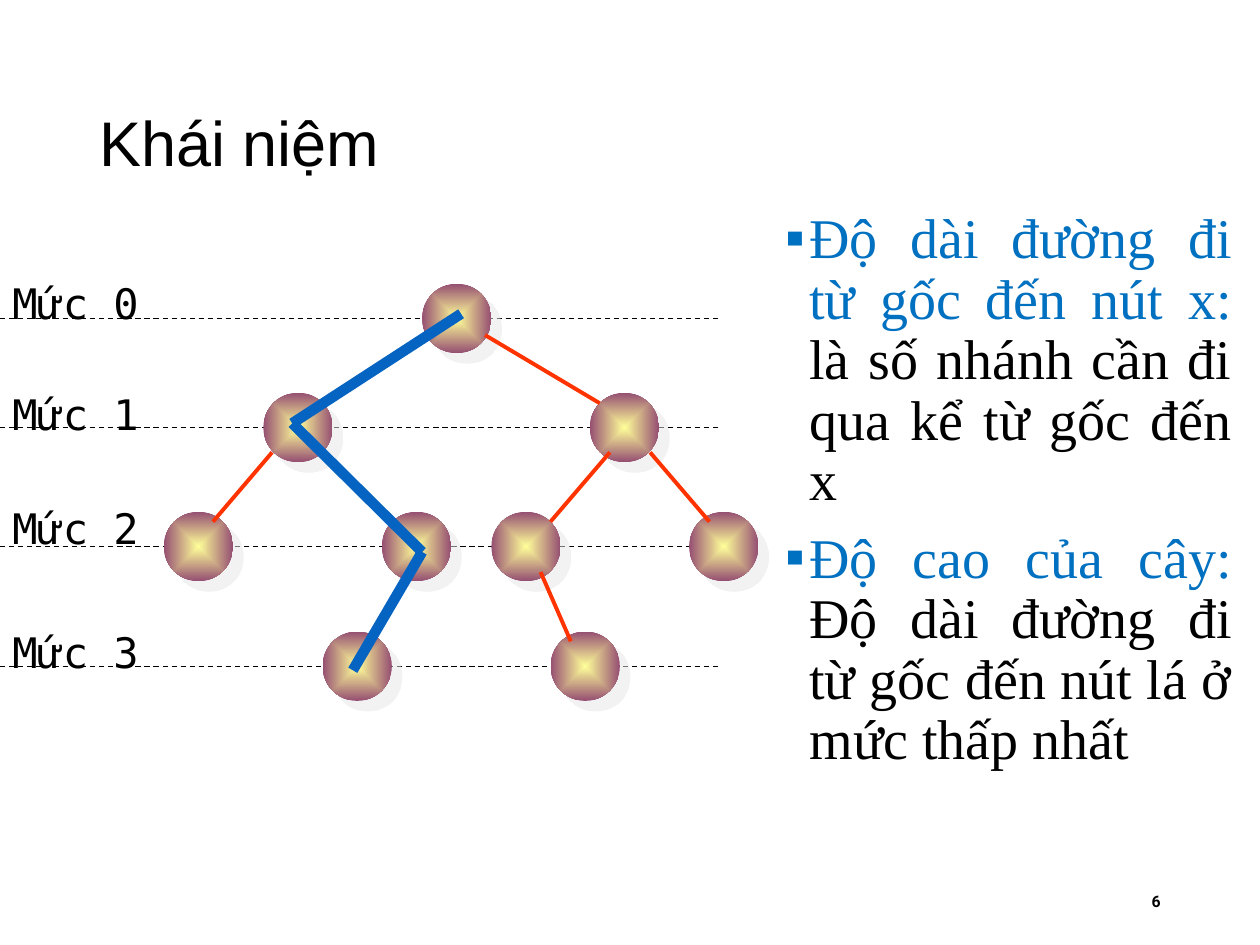
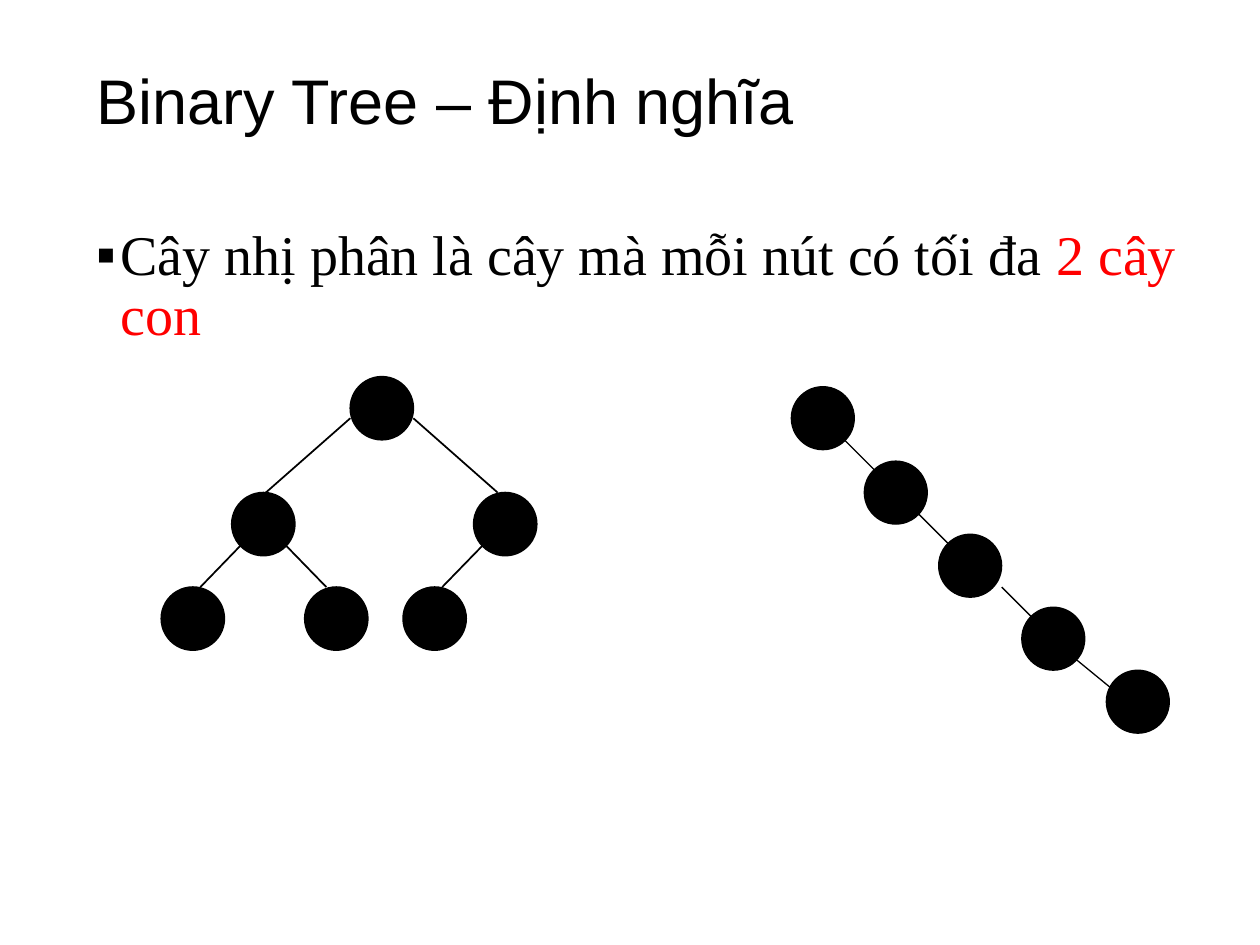
from dataclasses import dataclass
from itertools import pairwise
from typing import NamedTuple

from lxml import etree
from pptx import Presentation
from pptx.dml.color import RGBColor
from pptx.enum.dml import MSO_LINE
from pptx.enum.shapes import MSO_CONNECTOR, MSO_SHAPE
from pptx.enum.text import MSO_ANCHOR, PP_ALIGN
from pptx.oxml.ns import qn
from pptx.util import Pt

STRAIGHT = MSO_CONNECTOR.STRAIGHT
OVAL = MSO_SHAPE.OVAL
DASH = MSO_LINE.DASH
TOP, MIDDLE = MSO_ANCHOR.TOP, MSO_ANCHOR.MIDDLE
LEFT, RIGHT, JUSTIFY = PP_ALIGN.LEFT, PP_ALIGN.RIGHT, PP_ALIGN.JUSTIFY


@dataclass(frozen=True)
class Theme:
    black: str = "000000"
    accent: str = "0070C0"
    red: str = "FF0000"
    edge: str = "FF3300"
    route: str = "0563C1"
    node_core: str = "FFFF99"
    node_rim: str = "954F72"
    shadow: str = "E7E6E6"
    title_font: str = "Arial"
    body_font: str = "Times New Roman"
    label_font: str = "DejaVu Sans Mono"
    number_font: str = "Roboto"
    title_size: float = 36
    body_size: float = 32
    label_size: float = 24
    number_size: float = 9
    bullet_indent: float = 13.5
    bullet_gap: float = 9.6


class Box(NamedTuple):
    x: float
    y: float
    w: float
    h: float


class Point(NamedTuple):
    x: float
    y: float


class Run(NamedTuple):
    text: str
    color: str


class Edge(NamedTuple):
    x1: float
    y1: float
    x2: float
    y2: float


class Level(NamedTuple):
    y: float
    label_top: float
    nodes: tuple[float, ...]


@dataclass(frozen=True)
class Tree:
    nodes: list[Point]
    edges: list[Edge]
    line_width: float


T = Theme()
NODE_SIZE = 39.6
DOT_SIZE = 36

LEVELS = [
    Level(182, 154.8, (261,)),
    Level(244.3, 218.2, (170.3, 356.8)),
    Level(312.3, 283.7, (113.4, 238, 300.6, 413.6)),
    Level(380.7, 354.2, (334.4, 204.1)),
]
LEVEL_EDGES = [
    Edge(246.2, 190.8, 184.3, 230.4),
    Edge(277.2, 191.5, 342.7, 230.4),
    Edge(155.5, 258.5, 121.7, 298.1),
    Edge(184.3, 258.5, 223.9, 298.1),
    Edge(229.7, 332.6, 212.4, 366.5),
    Edge(348.5, 258.5, 314.6, 298.1),
    Edge(371.5, 258.5, 405.4, 298.1),
    Edge(308.9, 326.9, 326.2, 366.5),
]
ROUTE = [Point(263.5, 179.3), Point(167, 241.9), Point(241.2, 315.4), Point(201.6, 383)]

BALANCED = Tree(
    [Point(218.2, 233.3), Point(150.5, 299.5), Point(288.7, 299.5),
     Point(110.2, 353.5), Point(192.2, 353.5), Point(248.4, 353.5)],
    [Edge(151.9, 281.5, 200.2, 239), Edge(284.4, 281.5, 236.2, 239),
     Edge(114.5, 335.5, 138.2, 311), Edge(186.5, 335.5, 162.7, 311),
     Edge(252.7, 335.5, 276.5, 311)],
    1,
)
CHAIN = Tree(
    [Point(470.2, 239), Point(511.9, 281.5), Point(554.4, 323.3),
     Point(601.9, 365), Point(650.2, 401)],
    [Edge(482.4, 251.3, 500.4, 269.3), Edge(524.2, 293, 542.2, 311),
     Edge(572.4, 335.5, 590.4, 353.5), Edge(644.4, 401, 608.4, 371.5)],
    0.75,
)


def rgb(color: str) -> RGBColor:
    return RGBColor.from_string(color)


def sub(parent, tag: str, **attrs: str):
    return etree.SubElement(parent, qn(tag), attrs)


def add_bullet(p) -> None:
    p.line_spacing = 0.9
    p.space_before = Pt(T.bullet_gap)
    ppr = p._p.get_or_add_pPr()
    ppr.set("marL", str(Pt(T.bullet_indent)))
    ppr.set("indent", str(-Pt(T.bullet_indent)))
    sub(ppr, "a:buFont", typeface=T.title_font)
    sub(ppr, "a:buChar", char="▪")


def add_text(s, box: Box, paragraphs: list[list[Run]], *, font: str, size: float,
             bold: bool = False, align=LEFT, anchor=TOP, bullet: bool = False) -> None:
    tf = s.shapes.add_textbox(*map(Pt, box)).text_frame
    tf.word_wrap = True
    tf.vertical_anchor = anchor
    for i, runs in enumerate(paragraphs):
        p = tf.add_paragraph() if i else tf.paragraphs[0]
        p.alignment = align
        if bullet:
            add_bullet(p)
        for run in runs:
            r = p.add_run()
            r.text = run.text
            r.font.name = font
            r.font.size = Pt(size)
            r.font.bold = bold
            r.font.color.rgb = rgb(run.color)


def add_title(s, box: Box, text: str) -> None:
    add_text(s, box, [[Run(text, T.black)]], font=T.title_font,
             size=T.title_size, anchor=MIDDLE)


def add_body(s, box: Box, paragraphs: list[list[Run]], align=LEFT) -> None:
    add_text(s, box, paragraphs, font=T.body_font, size=T.body_size,
             align=align, bullet=True)


def add_line(s, edge: Edge, color: str, width: float, dash=None) -> None:
    line = s.shapes.add_connector(STRAIGHT, *map(Pt, edge))
    line.line.color.rgb = rgb(color)
    line.line.width = Pt(width)
    if dash is not None:
        line.line.dash_style = dash
    sub(line._element.spPr, "a:effectLst")


def add_circle(s, center: Point, size: float):
    sp = s.shapes.add_shape(OVAL, Pt(center.x - size / 2), Pt(center.y - size / 2),
                            Pt(size), Pt(size))
    sp.shadow.inherit = False
    return sp


def add_dot(s, center: Point, line_width: float) -> None:
    sp = add_circle(s, center, DOT_SIZE)
    sp.fill.solid()
    sp.fill.fore_color.rgb = rgb(T.black)
    sp.line.color.rgb = rgb(T.black)
    sp.line.width = Pt(line_width)


def add_glowing_node(s, center: Point) -> None:
    sp = add_circle(s, center, NODE_SIZE)
    sp.line.fill.background()
    sp.fill.gradient()
    for stop, color in zip(sp.fill.gradient_stops, (T.node_core, T.node_rim)):
        stop.color.rgb = rgb(color)
    spPr = sp._element.spPr
    grad = spPr.find(qn("a:gradFill"))
    grad.remove(grad.find(qn("a:lin")))
    path = sub(grad, "a:path", path="shape")
    sub(path, "a:fillToRect", l="50000", t="50000", r="50000", b="50000")
    shadow = sub(spPr.find(qn("a:effectLst")), "a:outerShdw", blurRad="0",
                 dist=str(Pt(8.5)), dir="2700000", algn="ctr", rotWithShape="0")
    sub(sub(shadow, "a:srgbClr", val=T.shadow), "a:alpha", val="50000")


def add_tree(s, tree: Tree) -> None:
    for edge in tree.edges:
        add_line(s, edge, T.black, tree.line_width)
    for node in tree.nodes:
        add_dot(s, node, tree.line_width)


def build_concepts(s) -> None:
    for i, level in enumerate(LEVELS):
        add_line(s, Edge(0, level.y, 411, level.y), T.black, 0.75, DASH)
        add_text(s, Box(0, level.label_top, 112.5, 36.7),
                 [[Run(f"Mức {i}", T.black)]], font=T.label_font, size=T.label_size)
    add_title(s, Box(49.7, 28.8, 620.6, 104.4), "Khái niệm")
    add_body(s, Box(442, 116.6, 269.3, 391), [
        [Run("Độ dài đường đi từ gốc đến nút x: ", T.accent),
         Run("là số nhánh cần đi qua kể từ gốc đến x", T.black)],
        [Run("Độ cao của cây: ", T.accent),
         Run("Độ dài đường đi từ gốc đến nút lá ở mức thấp nhất", T.black)],
    ], JUSTIFY)
    add_text(s, Box(476.6, 500.4, 193.7, 28.8), [[Run("6", T.black)]],
             font=T.number_font, size=T.number_size, bold=True,
             align=RIGHT, anchor=MIDDLE)
    for level in LEVELS:
        for x in level.nodes:
            add_glowing_node(s, Point(x, level.y))
    for edge in LEVEL_EDGES:
        add_line(s, edge, T.edge, 2.25)
    for a, b in pairwise(ROUTE):
        add_line(s, Edge(*a, *b), T.route, 6)


def build_binary_tree(s) -> None:
    add_title(s, Box(48.2, 18, 642.2, 77.8), "Binary Tree – Đi\u0323nh nghi\u0303a")
    add_body(s, Box(48.2, 126, 642.2, 354.2), [
        [Run("Cây nhị phân là cây mà mỗi nút có tối đa ", T.black),
         Run("2 cây con", T.red)],
    ])
    for tree in (BALANCED, CHAIN):
        add_tree(s, tree)


def main() -> None:
    prs = Presentation()
    prs.slide_width, prs.slide_height = Pt(720), Pt(540)
    for build in (build_concepts, build_binary_tree):
        build(prs.slides.add_slide(prs.slide_layouts[6]))
    prs.save("out.pptx")


main()
